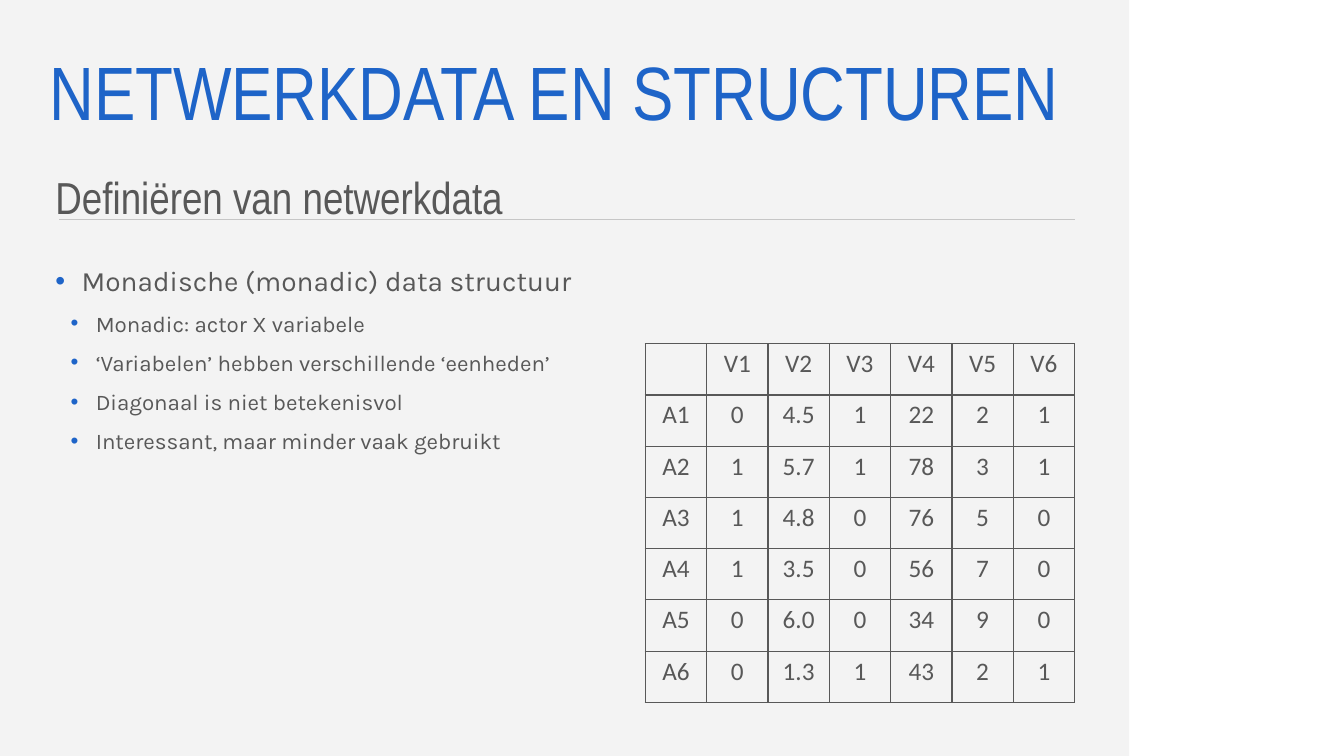
from lxml.etree import SubElement
from pptx import Presentation
from pptx.dml.color import RGBColor
from pptx.enum.shapes import MSO_CONNECTOR, MSO_SHAPE
from pptx.enum.text import MSO_ANCHOR, MSO_AUTO_SIZE, PP_ALIGN
from pptx.oxml.ns import qn
from pptx.util import Inches, Pt

COLORS = {"panel": "F3F3F3", "rule": "C6C6C6", "blue": "1E64C8", "text": "585858"}


def format_paragraph(paragraph, font_name, size, color, spacing, before=0):
    paragraph.alignment = PP_ALIGN.LEFT
    paragraph.line_spacing = spacing
    paragraph.space_before = Pt(before)
    paragraph.space_after = Pt(0)
    for run in paragraph.runs:
        run.font.name = font_name
        run.font.size = Pt(size)
        run.font.color.rgb = RGBColor.from_string(COLORS[color])


def set_bullet(paragraph, margin, hanging):
    properties = paragraph._p.get_or_add_pPr()
    properties.set("marL", str(Inches(margin)))
    properties.set("indent", str(-Inches(hanging)))
    if hanging:
        bullet_color = SubElement(properties, qn("a:buClr"))
        SubElement(bullet_color, qn("a:srgbClr"), val=COLORS["blue"])
        SubElement(properties, qn("a:buFont"), typeface="Arial")
        SubElement(properties, qn("a:buChar"), char="•")
    else:
        SubElement(properties, qn("a:buNone"))


prs = Presentation()
prs.slide_width, prs.slide_height = Inches(13.33), Inches(7.5)
slide = prs.slides.add_slide(prs.slide_layouts[3])
title, subtitle, points = (slide.placeholders[index] for index in range(3))

panel = slide.shapes.add_shape(MSO_SHAPE.RECTANGLE, 0, 0, Inches(11.2), Inches(7.5))
panel.shadow.inherit = False
panel.fill.solid()
panel.fill.fore_color.rgb = RGBColor.from_string(COLORS["panel"])
panel.line.fill.background()

rule = slide.shapes.add_connector(
    MSO_CONNECTOR.STRAIGHT, Inches(0.59), Inches(2.18), Inches(10.66), Inches(2.18))
rule.line.color.rgb = RGBColor.from_string(COLORS["rule"])
rule.line.width = Pt(0.5)
SubElement(rule.element.spPr, qn("a:effectLst"))

for depth, backdrop in enumerate((panel, rule), start=2):
    title.element.getparent().insert(depth, backdrop.element)

for holder, box, anchor in (
    (title, (0.39, 0.36, 10.26, 1.19), MSO_ANCHOR.MIDDLE),
    (subtitle, (0.45, 1.53, 10.2, 0.71), MSO_ANCHOR.TOP),
    (points, (0.45, 2.5, 10.2, 4.88), MSO_ANCHOR.TOP),
):
    holder.left, holder.top, holder.width, holder.height = map(Inches, box)
    holder.text_frame.auto_size = MSO_AUTO_SIZE.NONE
    holder.text_frame.word_wrap = True
    holder.text_frame.vertical_anchor = anchor

title.text_frame.text = "NETWERKDATA EN STRUCTUREN"
format_paragraph(title.text_frame.paragraphs[0], "Arial Narrow", 54, "blue", 0.9)

subtitle.text_frame.text = "Definiëren van netwerkdata"
heading = subtitle.text_frame.paragraphs[0]
set_bullet(heading, 0, 0)
format_paragraph(heading, "Arial Narrow", 32, "text", 1.2)

points.text_frame.text = "\n".join((
    "Monadische (monadic) data structuur",
    "Monadic: actor X variabele",
    "‘Variabelen’ hebben verschillende ‘eenheden’",
    "Diagonaal is niet betekenisvol",
    "Interessant, maar minder vaak gebruikt",
))
main_point, *sub_points = points.text_frame.paragraphs
set_bullet(main_point, 0.26, 0.26)
format_paragraph(main_point, "Karla", 20, "text", 1.2)
for sub_point in sub_points:
    sub_point.level = 1
    set_bullet(sub_point, 0.4, 0.25)
    format_paragraph(sub_point, "Karla", 16, "text", 1.2, 5)

actor_rows = (
    ("", "V1", "V2", "V3", "V4", "V5", "V6"),
    ("A1", "0", "4.5", "1", "22", "2", "1"),
    ("A2", "1", "5.7", "1", "78", "3", "1"),
    ("A3", "1", "4.8", "0", "76", "5", "0"),
    ("A4", "1", "3.5", "0", "56", "7", "0"),
    ("A5", "0", "6.0", "0", "34", "9", "0"),
    ("A6", "0", "1.3", "1", "43", "2", "1"),
)
actor_table = slide.shapes.add_table(
    len(actor_rows), len(actor_rows[0]),
    Inches(6.4), Inches(3.41), Inches(4.26), Inches(3.56)).table
actor_table.first_row = False
actor_table.horz_banding = False

for row_index, values in enumerate(actor_rows):
    for column_index, value in enumerate(values):
        cell = actor_table.cell(row_index, column_index)
        cell.text_frame.text = value
        entry = cell.text_frame.paragraphs[0]
        entry.alignment = PP_ALIGN.CENTER
        entry.font.name = "Calibri"
        entry.font.size = Pt(18)
        entry.font.color.rgb = RGBColor.from_string(COLORS["text"])
        cell_properties = cell._tc.get_or_add_tcPr()
        for side in ("a:lnL", "a:lnR", "a:lnT", "a:lnB"):
            border = SubElement(cell_properties, qn(side), w=str(Pt(1)))
            border_fill = SubElement(border, qn("a:solidFill"))
            SubElement(border_fill, qn("a:srgbClr"), val=COLORS["text"])
        cell.fill.background()

prs.save("out.pptx")
